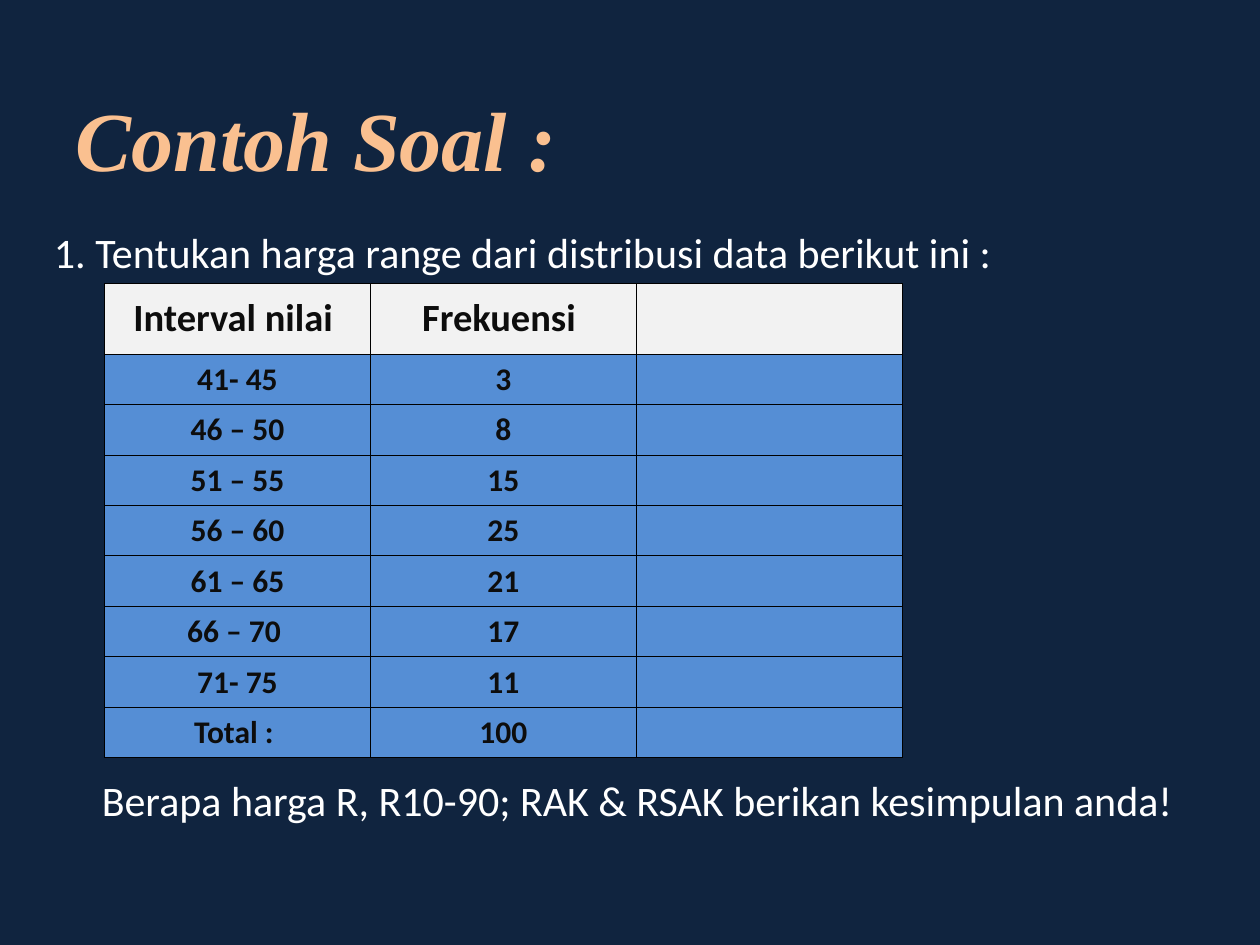
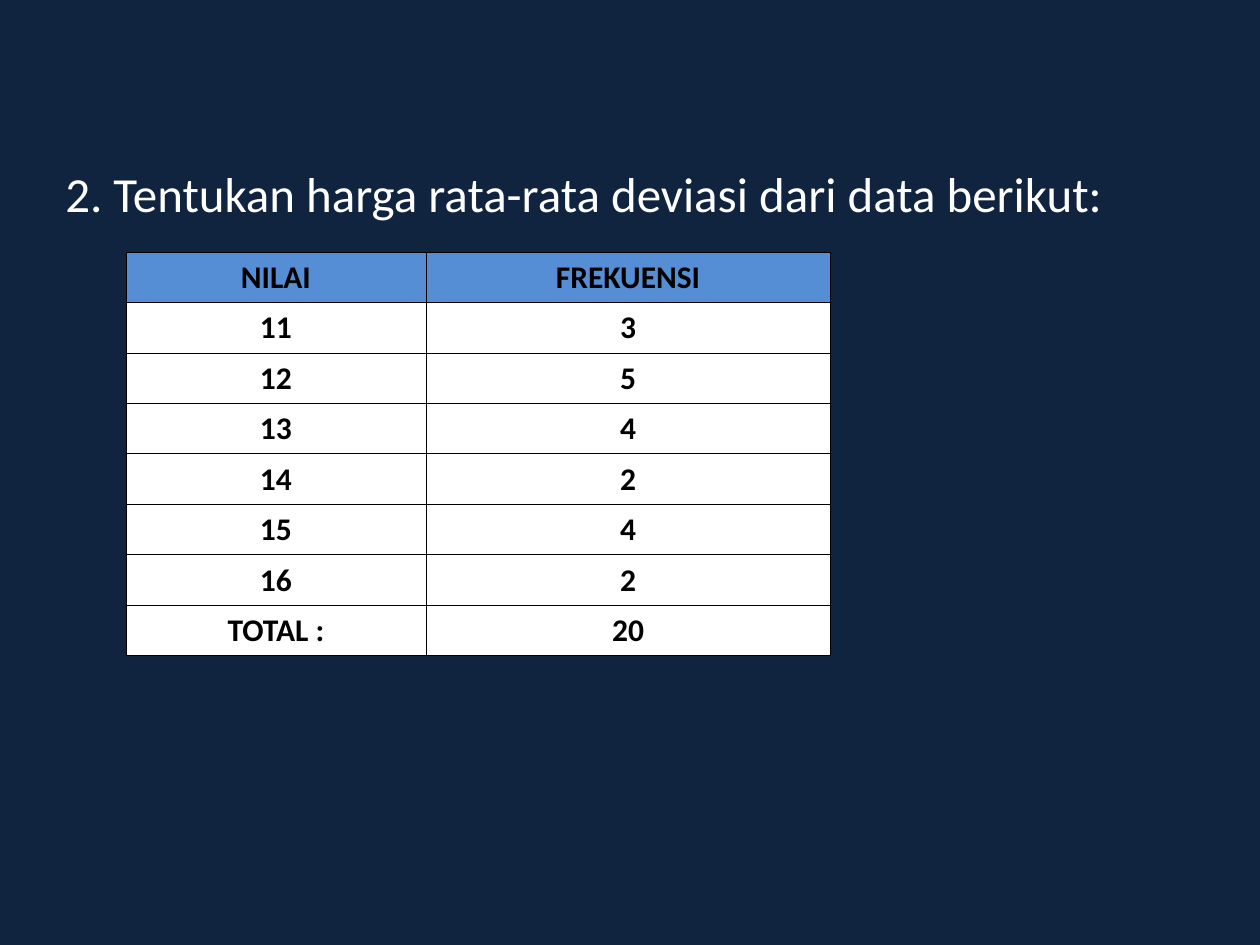
from dataclasses import dataclass

from lxml.etree import SubElement
from pptx import Presentation
from pptx.dml.color import RGBColor as RGB
from pptx.enum.text import MSO_ANCHOR as Anchor, MSO_AUTO_SIZE as AutoSize, PP_ALIGN as Align
from pptx.oxml.ns import qn
from pptx.util import Inches, Pt


@dataclass(frozen=True)
class Theme:
    background: str = "10243F"
    title: str = "FAC090"
    text: str = "FFFFFF"
    blue: str = "558ED5"
    light: str = "F2F2F2"
    white: str = "FFFFFF"
    dark: str = "0D0D0D"
    black: str = "000000"
    title_font: str = "Times New Roman"
    body_font: str = "Calibri"
    title_size: int = 48
    question_size: int = 24
    large_question_size: int = 28
    header_size: int = 22
    cell_size: int = 18
    border_width: float = 0.45


THEME = Theme()
TITLE_ONLY, BLANK = 5, 6
ROW_HEIGHT = 0.4


def style_runs(p, font, size, color, bold=False, italic=False):
    for r in p.runs:
        r.font.name, r.font.size = font, Pt(size)
        r.font.color.rgb = RGB.from_string(color)
        r.font.bold, r.font.italic = bold, italic


def set_title(s, text):
    sp = s.shapes.title
    sp.left, sp.top, sp.width, sp.height = map(Inches, (0, 0.83, 9, 0.53))
    tf = sp.text_frame
    tf.text = text
    tf.auto_size = AutoSize.NONE
    tf.vertical_anchor = Anchor.MIDDLE
    tf.margin_left = Inches(0.6)
    p = tf.paragraphs[0]
    p.alignment = Align.LEFT
    style_runs(p, THEME.title_font, THEME.title_size, THEME.title, bold=True, italic=True)


def add_question(s, box, lines, size):
    """Add a text box; each line is (text, left margin, first indent, space before)."""
    tf = s.shapes.add_textbox(*map(Inches, box)).text_frame
    tf.word_wrap = True
    for i, (text, margin, indent, space) in enumerate(lines):
        p = tf.add_paragraph() if i else tf.paragraphs[0]
        p.text = text
        p.space_before = Pt(space)
        pPr = p._p.get_or_add_pPr()
        pPr.set("marL", str(Inches(margin)))
        pPr.set("indent", str(Inches(indent)))
        style_runs(p, THEME.body_font, size, THEME.text)


def add_borders(cell):
    tcPr = cell._tc.get_or_add_tcPr()
    for side in ("a:lnL", "a:lnR", "a:lnT", "a:lnB"):
        ln = SubElement(tcPr, qn(side), w=str(Pt(THEME.border_width)))
        fill = SubElement(ln, qn("a:solidFill"))
        SubElement(fill, qn("a:srgbClr"), val=THEME.black)


def format_cell(cell, text, fill, size, color):
    cell.text = text
    cell.vertical_anchor = Anchor.MIDDLE
    cell.margin_left = cell.margin_right = Inches(0.08)
    cell.margin_top = cell.margin_bottom = Inches(0.05)
    add_borders(cell)
    cell.fill.solid()
    cell.fill.fore_color.rgb = RGB.from_string(fill)
    p = cell.text_frame.paragraphs[0]
    p.alignment = Align.CENTER
    style_runs(p, THEME.body_font, size, color, bold=True)


def add_data_table(s, left, top, widths, rows, color, header_fill, body_fill,
                   header_size=THEME.cell_size, header_height=ROW_HEIGHT):
    height = header_height + ROW_HEIGHT * (len(rows) - 1)
    frame = s.shapes.add_table(len(rows), len(widths), Inches(left), Inches(top),
                               Inches(sum(widths)), Inches(height))
    table = frame.table
    for column, width in zip(table.columns, widths):
        column.width = Inches(width)
    for i, values in enumerate(rows):
        header = i == 0
        table.rows[i].height = Inches(header_height if header else ROW_HEIGHT)
        for j in range(len(widths)):
            text = values[j] if j < len(values) else ""
            format_cell(table.cell(i, j), text, header_fill if header else body_fill,
                        header_size if header else THEME.cell_size, color)


def build_range_slide(prs):
    s = prs.slides.add_slide(prs.slide_layouts[TITLE_ONLY])
    set_title(s, "Contoh Soal :")
    # The second line sits below the table
    add_question(s, (0.33, 1.75, 9.17, 4.95), [
        ("1. Tentukan harga range dari distribusi data berikut ini :", 0.38, -0.38, 6),
        ("Berapa harga R, R10-90; RAK & RSAK berikan kesimpulan anda!", 0.38, 0, 284),
    ], THEME.question_size)
    # The third column is left open for working
    rows = [("Interval nilai ", "Frekuensi "), ("41- 45", "3"), ("46 – 50", "8"),
            ("51 – 55", "15"), ("56 – 60", "25"), ("61 – 65", "21"),
            ("66 – 70 ", "17"), ("71- 75", "11"), ("Total : ", "100")]
    add_data_table(s, 0.83, 2.25, [2.11] * 3, rows, THEME.dark, THEME.light, THEME.blue,
                   THEME.header_size, 0.56)


def build_deviation_slide(prs):
    s = prs.slides.add_slide(prs.slide_layouts[BLANK])
    add_question(s, (0.42, 1.25, 9, 4.95), [
        ("2. Tentukan harga rata-rata deviasi dari data berikut:", 0.38, -0.38, 7),
    ], THEME.large_question_size)
    rows = [("NILAI", "FREKUENSI"), ("11", "3"), ("12", "5"), ("13", "4"),
            ("14", "2"), ("15", "4"), ("16", "2"), ("TOTAL :", "20")]
    add_data_table(s, 1, 2, [2.38, 3.21], rows, THEME.black, THEME.blue, THEME.white)


def main():
    prs = Presentation()
    prs.slide_width, prs.slide_height = Inches(10), Inches(7.5)
    # Shared background
    fill = prs.slide_master.background.fill
    fill.solid()
    fill.fore_color.rgb = RGB.from_string(THEME.background)
    build_range_slide(prs)
    build_deviation_slide(prs)
    prs.save("out.pptx")


main()
